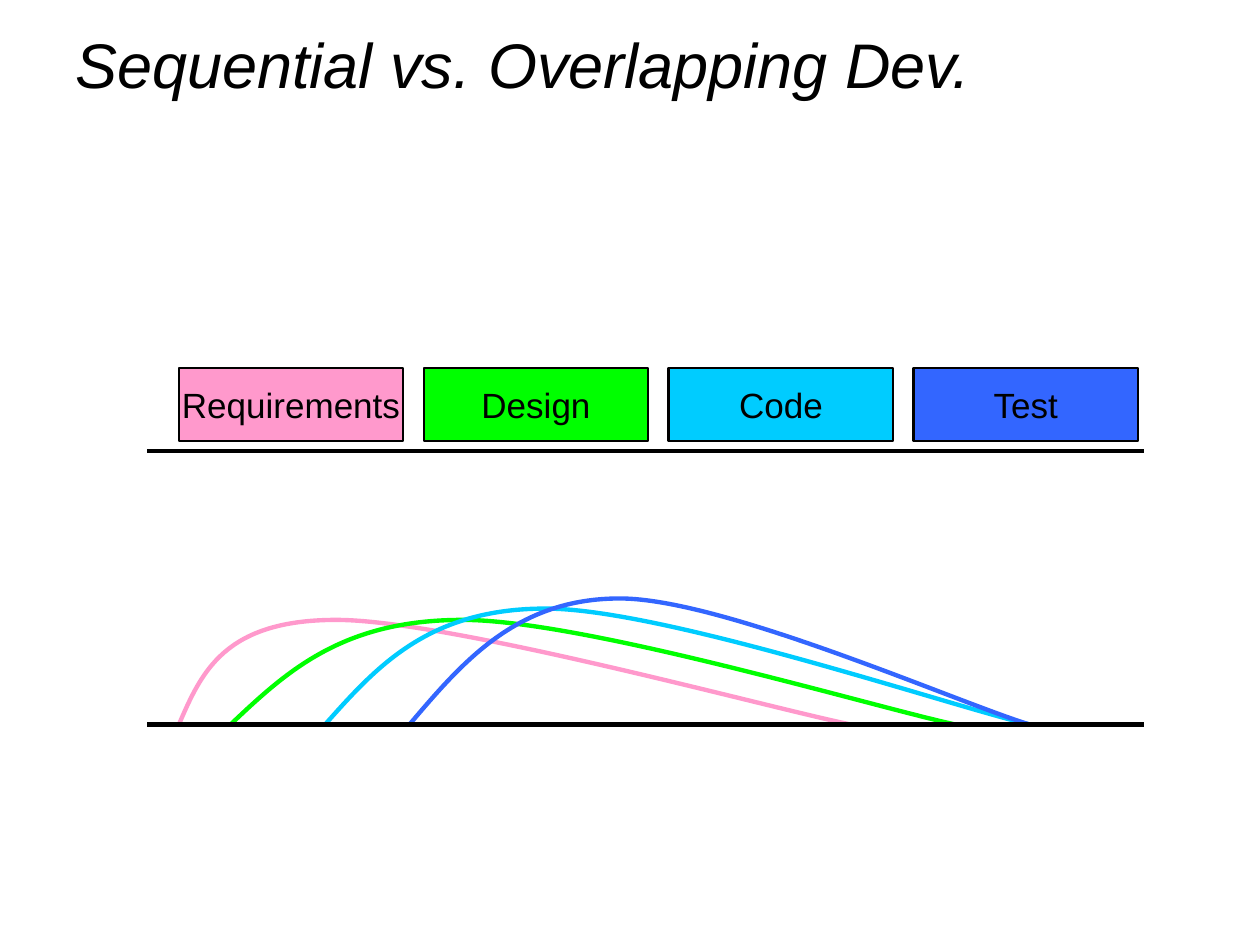
from lxml import etree
from pptx import Presentation
from pptx.dml.color import RGBColor
from pptx.enum.shapes import MSO_CONNECTOR as Connector, MSO_SHAPE as Shape
from pptx.enum.text import MSO_ANCHOR as Anchor, PP_ALIGN as Align
from pptx.oxml.ns import qn
from pptx.util import Inches, Pt

BLACK = "000000"
BASELINE = 5.75
PHASES = [
    ("Requirements", "FF99CC"),
    ("Design", "00FF00"),
    ("Code", "00CCFF"),
    ("Test", "3366FF"),
]
# start x, peak (x, y), half-width of the peak, end handle (x, y), end x
EFFORTS = [
    (1.42, (2.67, 4.92), 0.89, (6.07, 5.61), 6.75),
    (1.83, (3.67, 4.92), 0.96, (6.93, 5.61), 7.58),
    (2.58, (4.33, 4.83), 0.93, (7.53, 5.6), 8.17),
    (3.25, (4.92, 4.75), 0.82, (7.61, 5.58), 8.17),
]


def color(value):
    return RGBColor.from_string(value)


def set_line(shape, value, width):
    shape.line.color.rgb = color(value)
    shape.line.width = Pt(width)


def write(frame, text, size, align, italic=False):
    frame.text = text
    frame.vertical_anchor = Anchor.MIDDLE
    para = frame.paragraphs[0]
    para.alignment = align
    font = para.runs[0].font
    font.name = "Arial"
    font.size = Pt(size)
    font.italic = italic
    font.color.rgb = color(BLACK)


def add_title(page, text):
    box = page.shapes.add_textbox(Inches(0.5), 0, Inches(8.33), Inches(1.08))
    box.text_frame.word_wrap = True
    write(box.text_frame, text, 36, Align.LEFT, italic=True)
    box.text_frame.paragraphs[0].line_spacing = 0.9


def add_phase(page, left, text, fill):
    box = page.shapes.add_shape(
        Shape.RECTANGLE, Inches(left), Inches(2.92), Inches(1.78), Inches(0.58)
    )
    box.shadow.inherit = False
    box.fill.solid()
    box.fill.fore_color.rgb = color(fill)
    set_line(box, BLACK, 1.5)
    box.text_frame.word_wrap = False
    write(box.text_frame, text, 20, Align.CENTER)


def add_axis(page, y):
    axis = page.shapes.add_connector(
        Connector.STRAIGHT, Inches(1.17), Inches(y), Inches(9.08), Inches(y)
    )
    set_line(axis, BLACK, 2.5)
    etree.SubElement(axis._element.spPr, qn("a:effectLst"))


def bend(curve):
    segments = list(curve._element.iter(qn("a:lnTo")))
    for first in range(0, len(segments), 3):
        bezier = etree.Element(qn("a:cubicBezTo"))
        segments[first].addprevious(bezier)
        for segment in segments[first:first + 3]:
            bezier.append(segment[0])
            segment.getparent().remove(segment)


def add_effort(page, value, start, peak, half_width, end_handle, end):
    peak_x, peak_y = peak
    points = [
        ((start + peak_x - half_width) / 2, (BASELINE + peak_y) / 2),
        (peak_x - half_width, peak_y),
        peak,
        (peak_x + half_width, peak_y),
        end_handle,
        (end, BASELINE),
    ]
    builder = page.shapes.build_freeform(Inches(start), Inches(BASELINE))
    builder.add_line_segments([(Inches(x), Inches(y)) for x, y in points], close=False)
    curve = builder.convert_to_shape()
    curve.shadow.inherit = False
    curve.fill.background()
    set_line(curve, value, 2.5)
    bend(curve)


def main():
    deck = Presentation()
    deck.slide_width, deck.slide_height = Inches(10), Inches(7.5)
    page = deck.slides.add_slide(deck.slide_layouts[6])
    add_title(page, "Sequential vs. Overlapping Dev.")
    for (_, value), effort in zip(PHASES, EFFORTS):
        add_effort(page, value, *effort)
    for y in (BASELINE, 3.58):
        add_axis(page, y)
    for index, (text, fill) in enumerate(PHASES):
        add_phase(page, 1.42 + index * 1.944, text, fill)
    deck.save("out.pptx")


if __name__ == "__main__":
    main()
